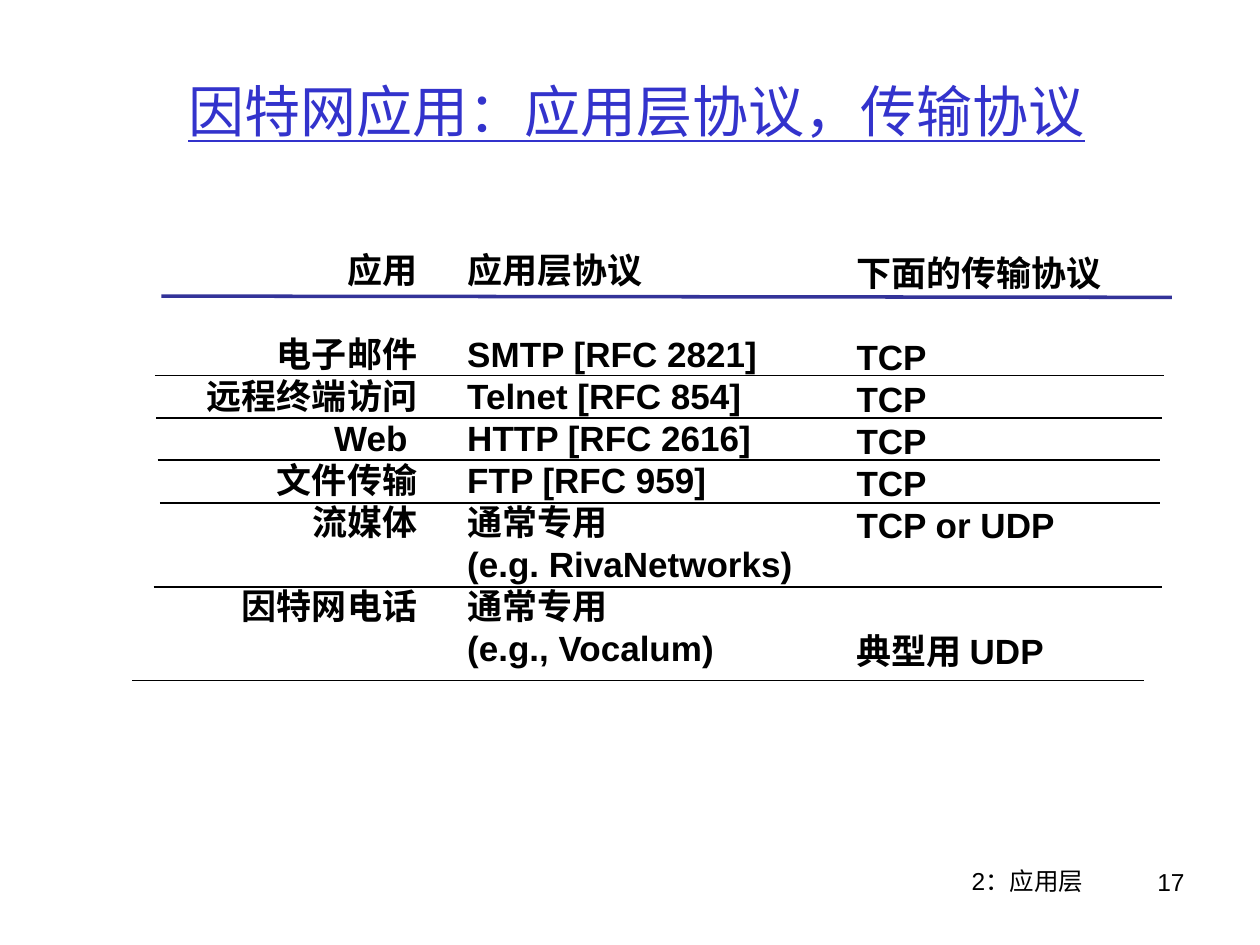
from lxml import etree
from pptx import Presentation
from pptx.dml.color import RGBColor
from pptx.enum.shapes import MSO_CONNECTOR
from pptx.enum.text import MSO_ANCHOR, PP_ALIGN
from pptx.oxml.ns import qn
from pptx.util import Inches, Pt

LEFT, CENTER, RIGHT = PP_ALIGN.LEFT, PP_ALIGN.CENTER, PP_ALIGN.RIGHT
TOP, MIDDLE = MSO_ANCHOR.TOP, MSO_ANCHOR.MIDDLE
STRAIGHT = MSO_CONNECTOR.STRAIGHT

BLACK = RGBColor(0x00, 0x00, 0x00)
BLUE = RGBColor(0x33, 0x33, 0xCC)
NAVY = RGBColor(0x33, 0x33, 0x99)

TITLE = {"name": "Comic Neue", "size": Pt(32), "underline": True}
BODY = {"name": "Arial", "size": Pt(20), "bold": True}
FOOTER = {"name": "Arial", "size": Pt(14)}
ROW_PITCH = 24  # points


class SlideBuilder:
    def __init__(self, slide):
        self.slide = slide

    def text(self, box, lines, style, align=LEFT, anchor=TOP, color=BLACK, pitch=None):
        """Add a text box; each line is (text, rows skipped above it)."""
        sp = self.slide.shapes.add_textbox(*map(Inches, box))
        tf = sp.text_frame
        tf.word_wrap = True
        tf.vertical_anchor = anchor
        for i, (text, skipped) in enumerate(lines):
            p = tf.paragraphs[0] if i == 0 else tf.add_paragraph()
            p.alignment = align
            if pitch:
                p.line_spacing = Pt(pitch)
                p.space_before = Pt(skipped * pitch)
            r = p.add_run()
            r.text = text
            for key, value in style.items():
                setattr(r.font, key, value)
            r.font.color.rgb = color

    def line(self, x1, y1, x2, y2, color=BLACK, width=1):
        sp = self.slide.shapes.add_connector(STRAIGHT, *map(Inches, (x1, y1, x2, y2)))
        sp.line.color.rgb = color
        sp.line.width = Pt(width)
        etree.SubElement(sp._element.spPr, qn("a:effectLst"))


def main():
    prs = Presentation()
    prs.slide_width, prs.slide_height = Inches(10), Inches(7.5)
    s = SlideBuilder(prs.slides.add_slide(prs.slide_layouts[6]))

    # Footer and title
    s.text((6.57, 6.82, 3.17, 0.52), [("2：应用层", 0)], FOOTER, CENTER)
    s.text((8.62, 6.83, 0.88, 0.52), [("17", 0)], FOOTER, RIGHT)
    s.text((0.27, 0.25, 9.57, 1.25), [("因特网应用：应用层协议，传输协议", 0)],
           TITLE, CENTER, MIDDLE, BLUE)

    # Columns of applications, their protocols and the transport below
    applications = [("应用", 0), ("电子邮件", 1), ("远程终端访问", 0), ("Web ", 0),
                    ("文件传输", 0), ("流媒体", 0), ("因特网电话", 1)]
    protocols = [("应用层协议", 0), ("SMTP [RFC 2821]", 1), ("Telnet [RFC 854]", 0),
                 ("HTTP [RFC 2616]", 0), ("FTP [RFC 959]", 0), ("通常专用", 0),
                 ("(e.g. RivaNetworks)", 0), ("通常专用", 0), ("(e.g., Vocalum)", 0)]
    transports = [("下面的传输协议", 0), ("TCP", 1), ("TCP", 0), ("TCP", 0),
                  ("TCP", 0), ("TCP or UDP", 0), ("典型用 UDP", 2)]
    columns = [
        ((1.41, 1.92, 2.0, 3.44), applications, RIGHT),
        ((3.61, 1.92, 2.95, 3.44), protocols, LEFT),
        ((6.7, 1.95, 2.87, 3.44), transports, LEFT),
    ]
    for box, lines, align in columns:
        s.text(box, lines, BODY, align, pitch=ROW_PITCH)

    # Header rule and row rules
    s.line(1.28, 2.35, 9.3, 2.36, NAVY, 2)
    for x1, x2, y in [(1.23, 9.24, 2.98), (1.24, 9.22, 3.32), (1.25, 9.21, 3.65),
                      (1.27, 9.21, 3.99), (1.22, 9.22, 4.66), (1.05, 9.08, 5.4)]:
        s.line(x1, y, x2, y)

    prs.save("out.pptx")


if __name__ == "__main__":
    main()
